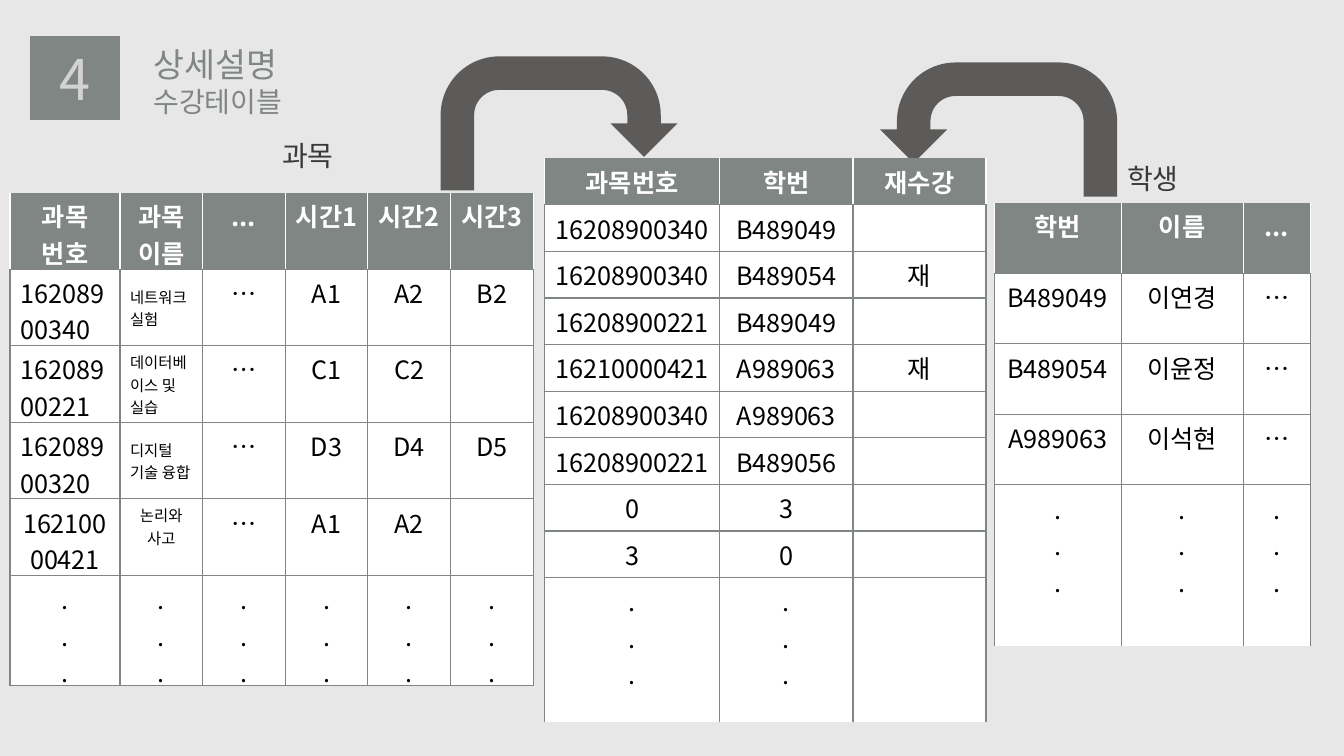
from lxml import etree
from pptx import Presentation
from pptx import util as u
from pptx.dml.color import RGBColor
from pptx.enum import shapes, text
from pptx.oxml.ns import qn

FONT = "Noto Sans CJK KR"
GRAY, DARK, WHITE, BLACK = "808684", "3B3838", "FFFFFF", "000000"
PALE, BACKGROUND = "D2D3D2", "E6E7E6"
DOTS = ".\n.\n."

COURSES = dict(
    at=(0.1, 1.91), cols=[1.09] + [0.82] * 5, heights=[0.76] * 5 + [1.09], closed=True,
    rows=[
        ["과목 번호", "과목이름", "...", "시간1", "시간2", "시간3"],
        ["16208900340", "네트워크실험", "…", "A1", "A2", "B2"],
        ["16208900221", "데이터베이스 및 실습", "…", "C1", "C2", ""],
        ["16208900320", "디지털 기술 융합", "…", "D3", "D4", "D5"],
        ["16210000421", "논리와 사고", "…", "A1", "A2", ""],
        [DOTS] * 6,
    ],
    small=[(r, 1) for r in range(1, 5)],
    left=[(r, c) for r in range(1, 4) for c in range(2)],
)
ENROLMENTS = dict(
    at=(5.4, 1.57), cols=[1.74, 1.32, 1.32], heights=[0.4] + [0.44] * 8 + [1.43],
    rows=[
        ["과목번호", "학번", "재수강"],
        ["16208900340", "B489049", ""],
        ["16208900340", "B489054", "재"],
        ["16208900221", "B489049", ""],
        ["16210000421", "A989063", "재"],
        ["16208900340", "A989063", ""],
        ["16208900221", "B489056", ""],
        ["0", "3", ""],
        ["3", "0", ""],
        [DOTS, DOTS, ""],
    ],
)
STUDENTS = dict(
    at=(9.86, 2.01), cols=[1.26, 1.21, 0.67], heights=[0.7] * 4 + [1.6],
    rows=[
        ["학번", "이름", "..."],
        ["B489049", "이연경", "…"],
        ["B489054", "이윤정", "…"],
        ["A989063", "이석현", "…"],
        [DOTS] * 3,
    ],
)
TABLE_LABELS = [("과목", 2.7, 1.33), ("학생", 11.08, 1.55)]
ARROWS = [(8.73, 0.62, True), (4.37, 0.56, False)]


def rgb(color):
    return RGBColor.from_string(color)


def inches(*lengths):
    return [u.Inches(n) for n in lengths]


def write(tf, content, sizes=(18,), color=BLACK, bold=False, align=text.PP_ALIGN.LEFT):
    """Fill a text frame, one paragraph a line; the last size serves the remaining lines."""
    for i, line in enumerate(content.split("\n")):
        p = tf.paragraphs[0] if i == 0 else tf.add_paragraph()
        p.alignment = align
        r = p.add_run()
        r.text = line
        font = r.font
        font.size = u.Pt(sizes[min(i, len(sizes) - 1)])
        font.name, font.bold = FONT, bold
        font.color.rgb = rgb(color)
        latin = r._r.rPr.find(qn("a:latin"))
        latin.addnext(latin.makeelement(qn("a:ea"), {"typeface": FONT}))


def fill_shape(sp, color, alpha=None):
    sp.shadow.inherit = False
    sp.fill.solid()
    sp.fill.fore_color.rgb = rgb(color)
    sp.line.fill.background()
    if alpha:
        clr = sp._element.spPr.find(".//" + qn("a:srgbClr"))
        etree.SubElement(clr, qn("a:alpha"), val=str(alpha * 1000))


def set_borders(cell, **colors):
    """Draw the L, R, T and B edges; an edge without a colour stays bare."""
    tcPr = cell._tc.get_or_add_tcPr()
    for i, side in enumerate("LRTB"):
        ln = tcPr.makeelement(qn("a:ln" + side), {"w": str(u.Pt(1))})
        tcPr.insert(i, ln)
        if side in colors:
            solid = etree.SubElement(ln, qn("a:solidFill"))
            etree.SubElement(solid, qn("a:srgbClr"), val=colors[side])
        else:
            etree.SubElement(ln, qn("a:noFill"))


def add_grid(s, at, cols, heights, rows, closed=False, small=(), left=()):
    box = inches(*at, sum(cols), sum(heights))
    table = s.shapes.add_table(len(rows), len(cols), *box).table
    for column, width in zip(table.columns, cols):
        column.width = u.Inches(width)
    for r, (values, height) in enumerate(zip(rows, heights)):
        table.rows[r].height = u.Inches(height)
        for c, value in enumerate(values):
            cell, header = table.cell(r, c), r == 0
            cell.fill.solid()
            cell.fill.fore_color.rgb = rgb(GRAY if header else WHITE)
            if header:
                set_borders(cell, L=WHITE, R=WHITE, B=GRAY)
            elif r == len(rows) - 1 and not closed:
                set_borders(cell, L=GRAY, R=GRAY, T=GRAY)
            else:
                set_borders(cell, L=GRAY, R=GRAY, T=GRAY, B=GRAY)
            if (r, c) in left:
                cell.vertical_anchor = text.MSO_ANCHOR.MIDDLE
            write(cell.text_frame, value,
                  sizes=(11,) if (r, c) in small else (18,),
                  color=WHITE if header else BLACK, bold=header,
                  align=text.PP_ALIGN.LEFT if (r, c) in left else text.PP_ALIGN.CENTER)


def main():
    prs = Presentation()
    prs.slide_width, prs.slide_height = inches(13.33, 7.5)
    s = prs.slides.add_slide(prs.slide_layouts[5])
    s.background.fill.solid()
    s.background.fill.fore_color.rgb = rgb(BACKGROUND)

    title = s.shapes.title
    title.left, title.top, title.width, title.height = inches(1.42, 0.39, 4.61, 0.84)
    tf = title.text_frame
    tf.vertical_anchor = text.MSO_ANCHOR.TOP
    tf.auto_size = text.MSO_AUTO_SIZE.NONE
    write(tf, "상세설명\n수강테이블", sizes=(24, 20), color=GRAY)

    for x, y, flipped in ARROWS:
        arrow = s.shapes.add_shape(shapes.MSO_SHAPE.U_TURN_ARROW, *inches(x, y, 2.35, 1.33))
        fill_shape(arrow, DARK, alpha=80)
        if flipped:
            arrow._element.spPr.find(qn("a:xfrm")).set("flipH", "1")

    number = s.shapes.add_shape(shapes.MSO_SHAPE.RECTANGLE, *inches(0.3, 0.36, 0.89, 0.83))
    fill_shape(number, GRAY)
    number.text_frame.vertical_anchor = text.MSO_ANCHOR.MIDDLE
    write(number.text_frame, "4", sizes=(40,), color=PALE, align=text.PP_ALIGN.CENTER)

    add_grid(s, **ENROLMENTS)
    for label, x, y in TABLE_LABELS:
        tf = s.shapes.add_textbox(*inches(x, y, 0.76, 0.44)).text_frame
        tf.word_wrap = False
        write(tf, label, sizes=(20,), color=DARK)
    add_grid(s, **COURSES)
    add_grid(s, **STUDENTS)
    prs.save("out.pptx")


if __name__ == "__main__":
    main()
